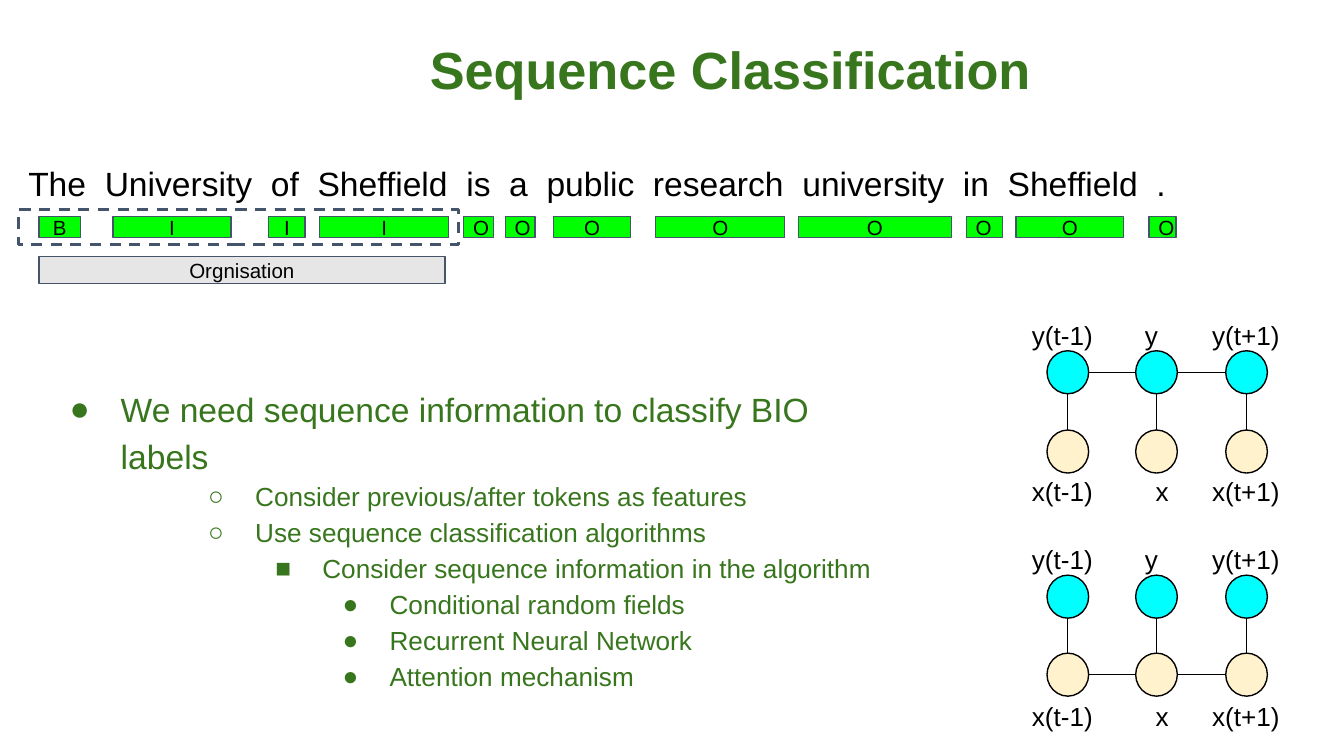
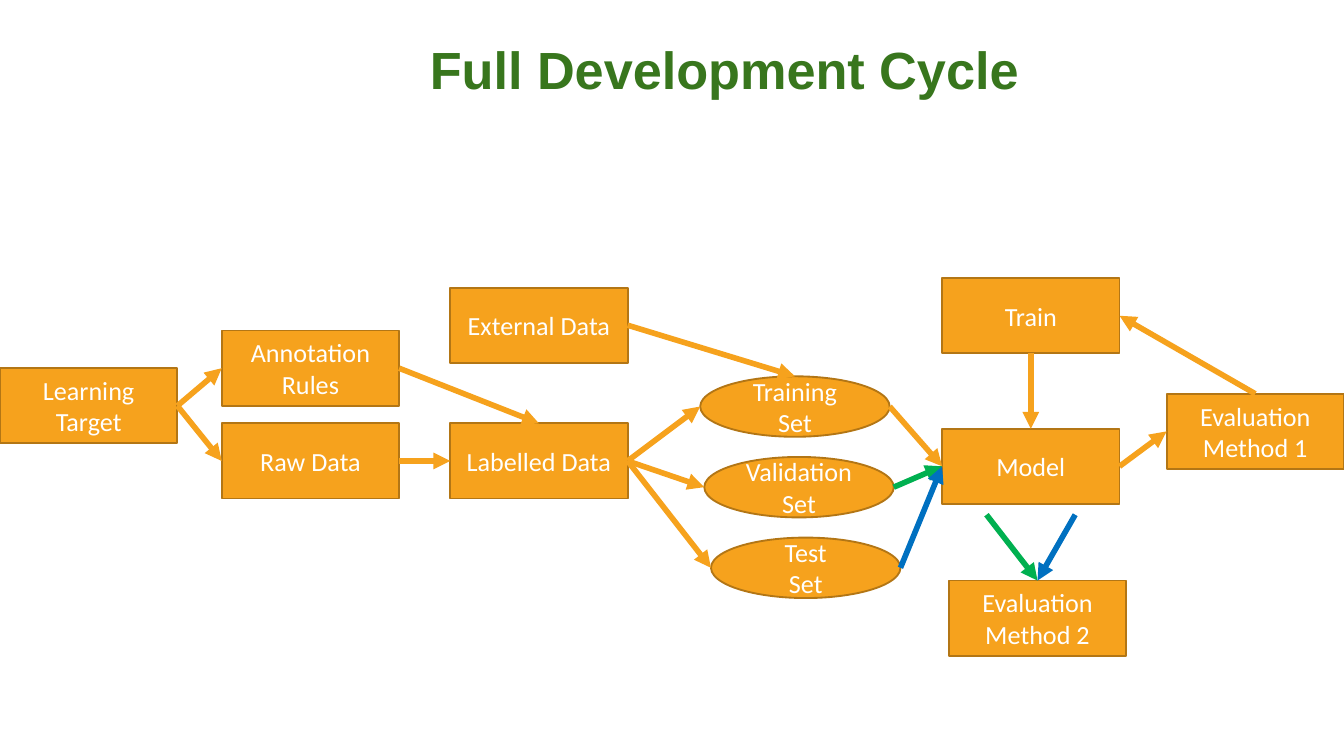
"""Builds two slides on sequence classification and the development cycle."""
import lxml.etree
import pptx
import pptx.dml.color
import pptx.enum.dml
import pptx.enum.shapes
import pptx.enum.text
import pptx.oxml.ns
import pptx.util

Inches = pptx.util.Inches
Shapes = pptx.enum.shapes.MSO_SHAPE
Align = pptx.enum.text.PP_ALIGN
Anchor = pptx.enum.text.MSO_ANCHOR

GREEN, BLACK, WHITE = "38761D", "000000", "FFFFFF"
SLATE, LIME, GREY = "44546A", "00FF00", "E7E6E6"
CYAN, CREAM = "00FFFF", "FFF2CC"
ORANGE, BROWN = "F6A21D", "B37615"
LEAF, BLUE = "00B050", "0070C0"
TOP, LEFT, BOTTOM, RIGHT = range(4)


def paint(value):
    return pptx.dml.color.RGBColor.from_string(value)


def add_child(parent, tag, **attributes):
    return lxml.etree.SubElement(parent, pptx.oxml.ns.qn(tag), attributes)


def write(para, text, size=14, color=BLACK, font="Arial", bold=False,
          align=Align.LEFT, tracking=None):
    para.alignment = align
    span = para.add_run()
    span.text = text
    span.font.size = pptx.util.Pt(size)
    span.font.name = font
    span.font.bold = bold
    span.font.color.rgb = paint(color)
    if tracking:
        span.font._element.set("spc", str(tracking * 100))


def side_point(box, side):
    across = {LEFT: 0, RIGHT: box.width}.get(side, box.width // 2)
    down = {TOP: 0, BOTTOM: box.height}.get(side, box.height // 2)
    return box.left + across, box.top + down


class Painter:
    """Holds the deck's style and the slide being drawn."""

    def __init__(self):
        self.deck = pptx.Presentation()
        self.deck.slide_width = Inches(10)
        self.deck.slide_height = Inches(10) * 9 // 16
        self.page = None

    def start(self, title):
        self.page = self.deck.slides.add_slide(self.deck.slide_layouts[6])
        self.text(3.1, 0.18, 6.55, 0.63, title, size=28, color=GREEN, bold=True)

    def fill_frame(self, box, text, pad, anchor, **style):
        frame = box.text_frame
        frame.word_wrap = True
        frame.vertical_anchor = anchor
        frame.margin_left = frame.margin_right = Inches(pad[0])
        frame.margin_top = frame.margin_bottom = Inches(pad[1])
        for index, line in enumerate(text.split("\n") if text else []):
            para = frame.add_paragraph() if index else frame.paragraphs[0]
            write(para, line, **style)
        return frame

    def text(self, left, top, width, height, text="", pad=0.1, **style):
        box = self.page.shapes.add_textbox(
            Inches(left), Inches(top), Inches(width), Inches(height))
        return self.fill_frame(box, text, (pad, pad), Anchor.TOP, **style)

    def shape(self, kind, left, top, width, height, fill, line, weight=0.75,
              text="", pad=(0.07, 0.07), **style):
        box = self.page.shapes.add_shape(
            kind, Inches(left), Inches(top), Inches(width), Inches(height))
        box.shadow.inherit = False
        if fill:
            box.fill.solid()
            box.fill.fore_color.rgb = paint(fill)
        else:
            box.fill.background()
        box.line.color.rgb = paint(line)
        box.line.width = pptx.util.Pt(weight)
        self.fill_frame(box, text, pad, Anchor.MIDDLE, **style)
        return box

    def tag(self, left, top, width, height, text, fill=LIME, align=Align.CENTER):
        self.shape(Shapes.RECTANGLE, left, top, width, height, fill, SLATE,
                   text=text, size=11, align=align)

    def step(self, text, left, top, kind=Shapes.RECTANGLE):
        width, height = (1.32, 0.56) if kind == Shapes.RECTANGLE else (1.41, 0.45)
        return self.shape(kind, left, top, width, height, ORANGE, BROWN, 1, text,
                          (0.1, 0.05), color=WHITE, font="Calibri",
                          align=Align.CENTER)

    def link(self, start, end, color=BLACK, weight=0.75, arrow=False):
        """Draws a line between two ends, each a (box, side) or an (x, y) in inches."""
        ends = [side_point(*spot) if hasattr(spot[0], "left")
                else [Inches(value) for value in spot] for spot in (start, end)]
        line = self.page.shapes.add_connector(
            pptx.enum.shapes.MSO_CONNECTOR.STRAIGHT, *ends[0], *ends[1])
        for spot, join in ((start, line.begin_connect), (end, line.end_connect)):
            if hasattr(spot[0], "left") and spot[0].auto_shape_type == Shapes.RECTANGLE:
                join(*spot)
        line.line.color.rgb = paint(color)
        line.line.width = pptx.util.Pt(weight)
        properties = line.element.spPr
        if arrow:
            add_child(properties.find(pptx.oxml.ns.qn("a:ln")), "a:tailEnd",
                      type="triangle")
        add_child(properties, "a:effectLst")

    def bullets(self, left, top, width, height, items):
        frame = self.text(left, top, width, height)
        for index, (level, mark, margin, hang, size, text) in enumerate(items):
            para = frame.add_paragraph() if index else frame.paragraphs[0]
            para.level = level
            para.line_spacing = 1.15
            write(para, text, size=size, color=GREEN)
            properties = para._p.get_or_add_pPr()
            properties.set("marL", str(Inches(margin)))
            properties.set("indent", str(-Inches(hang)))
            add_child(add_child(properties, "a:buClr"), "a:srgbClr", val=GREEN)
            add_child(properties, "a:buFont", typeface="Arial")
            add_child(properties, "a:buChar", char=mark)

    def spaced_sentence(self, left, top, width, height, sentence):
        para = self.text(left, top, width, height, pad=0.07).paragraphs[0]
        for index, word in enumerate(sentence.split()):
            if index:
                write(para, " ", size=18, tracking=5)
            write(para, word, size=18)

    def chain(self, label_top, output_top, input_top, input_label_top, linked_row):
        """Draws three outputs over three inputs, with one row linked across."""
        rows = [[self.shape(Shapes.OVAL, left, top, 0.31, 0.32, fill, BLACK)
                 for left in (7.79, 8.45, 9.12)]
                for top, fill in ((output_top, CYAN), (input_top, CREAM))]
        across = rows[linked_row]
        for first, second in zip(across, across[1:]):
            self.link((first, RIGHT), (second, LEFT))
        for output, source in zip(*rows):
            self.link((output, BOTTOM), (source, TOP))
        for name, top, middle, width in (("x", input_label_top, 8.5, 0.31),
                                         ("y", label_top, 8.42, 0.27)):
            self.text(7.58, top, 0.84, 0.32, name + "(t-1)")
            self.text(middle, top, width, 0.32, name)
            self.text(8.92, top, 0.84, 0.32, name + "(t+1)")


def draw_classification(painter):
    painter.start("Sequence Classification")
    painter.bullets(0.3, 2.75, 6.48, 2.31, [
        (0, "●", 0.5, 0.38, 18, "We need sequence information to classify BIO labels"),
        (1, "○", 1.5, 0.35, 14, "Consider previous/after tokens as features"),
        (1, "○", 1.5, 0.35, 14, "Use sequence classification algorithms"),
        (2, "■", 2, 0.35, 14, "Consider sequence information in the algorithm"),
        (3, "●", 2.5, 0.35, 14, "Conditional random fields"),
        (3, "●", 2.5, 0.35, 14, "Recurrent Neural Network"),
        (3, "●", 2.5, 0.35, 14, "Attention mechanism"),
    ])
    painter.spaced_sentence(
        0.14, 1.14, 9.72, 0.39,
        "The University of Sheffield is a public research university in Sheffield .")
    tags = [("B", 0.29, 0.31), ("I", 0.84, 0.88), ("I", 2, 0.27), ("I", 2.38, 0.96),
            ("O", 3.45, 0.22), ("O", 3.76, 0.22), ("O", 4.12, 0.57),
            ("O", 4.88, 0.96), ("O", 5.94, 1.14), ("O", 7.19, 0.27),
            ("O", 7.56, 0.8), ("O", 8.55, 0.2)]
    for label, left, width in tags:
        narrow = label == "O" and width < 0.3
        painter.tag(left, 1.61, width, 0.16, label,
                    align=Align.LEFT if narrow else Align.CENTER)
    entity = painter.shape(Shapes.RECTANGLE, 0.14, 1.56, 3.27, 0.26, None, SLATE, 1.5)
    entity.line.dash_style = pptx.enum.dml.MSO_LINE.DASH
    painter.tag(0.29, 1.91, 3.02, 0.2, "Orgnisation", GREY)
    painter.chain(2.28, 2.61, 3.2, 3.44, linked_row=0)
    painter.chain(3.94, 4.28, 4.86, 5.11, linked_row=1)


def draw_cycle(painter):
    painter.start("Full Development Cycle")
    target = painter.step("Learning\nTarget", 0, 2.74)
    rules = painter.step("Annotation Rules", 1.65, 2.46)
    raw = painter.step("Raw Data", 1.65, 3.15)
    external = painter.step("External Data", 3.35, 2.14)
    labelled = painter.step("Labelled Data", 3.35, 3.15)
    training = painter.step("Training Set", 5.21, 2.8, Shapes.OVAL)
    validation = painter.step("Validation Set", 5.24, 3.4, Shapes.OVAL)
    test = painter.step("Test\nSet", 5.29, 4, Shapes.OVAL)
    train = painter.step("Train", 7.01, 2.07)
    model = painter.step("Model", 7.01, 3.19)
    first_method = painter.step("Evaluation\nMethod 1", 8.68, 2.93)
    second_method = painter.step("Evaluation Method 2", 7.06, 4.32)
    flows = [
        ((raw, RIGHT), (labelled, LEFT), ORANGE),
        ((target, RIGHT), (rules, LEFT), ORANGE),
        ((target, RIGHT), (raw, LEFT), ORANGE),
        ((labelled, RIGHT), (training, LEFT), ORANGE),
        ((labelled, RIGHT), (validation, LEFT), ORANGE),
        ((validation, RIGHT), (model, LEFT), LEAF),
        ((training, RIGHT), (model, LEFT), ORANGE),
        ((model, RIGHT), (first_method, LEFT), ORANGE),
        ((first_method, TOP), (train, RIGHT), ORANGE),
        ((train, BOTTOM), (model, TOP), ORANGE),
        ((labelled, RIGHT), (test, LEFT), ORANGE),
        ((test, RIGHT), (model, LEFT), BLUE),
        ((7.34, 3.83), (second_method, TOP), LEAF),
        ((8, 3.83), (second_method, TOP), BLUE),
        ((rules, RIGHT), (labelled, TOP), ORANGE),
        ((external, RIGHT), (training, TOP), ORANGE),
    ]
    for start, end, color in flows:
        painter.link(start, end, color, 3, arrow=True)


def main():
    painter = Painter()
    draw_classification(painter)
    draw_cycle(painter)
    painter.deck.save("out.pptx")


if __name__ == "__main__":
    main()
